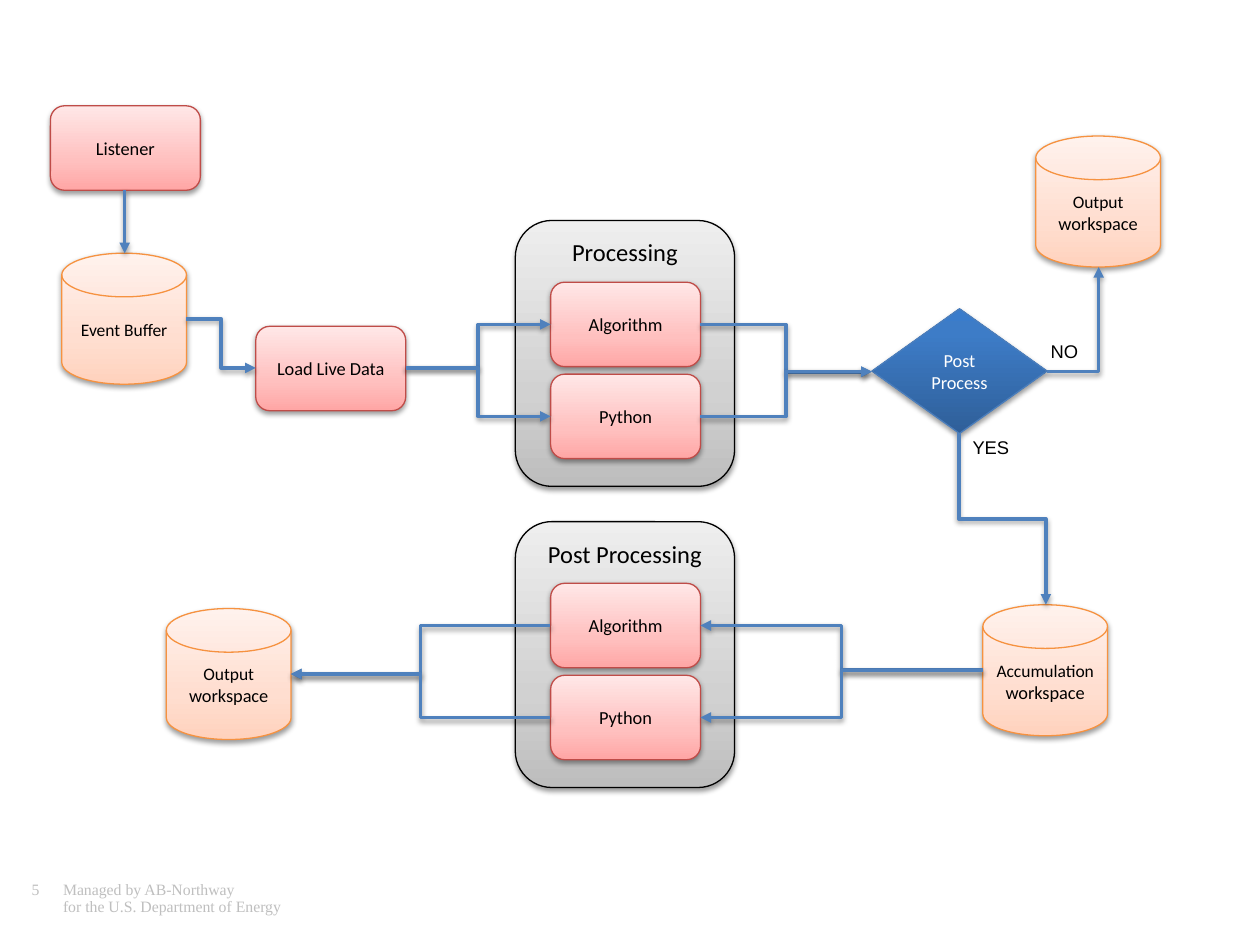
from copy import deepcopy

from lxml import etree
from pptx import Presentation
from pptx.dml.color import RGBColor
from pptx.enum.shapes import MSO_CONNECTOR, MSO_SHAPE
from pptx.enum.text import MSO_ANCHOR, PP_ALIGN
from pptx.oxml.ns import qn
from pptx.util import Inches, Pt

BOX, DISK = MSO_SHAPE.FLOWCHART_ALTERNATE_PROCESS, MSO_SHAPE.FLOWCHART_MAGNETIC_DISK
PANEL, CHOICE = MSO_SHAPE.ROUNDED_RECTANGLE, MSO_SHAPE.FLOWCHART_DECISION
STRAIGHT, ELBOW = MSO_CONNECTOR.STRAIGHT, MSO_CONNECTOR.ELBOW
LEFT, CENTER = PP_ALIGN.LEFT, PP_ALIGN.CENTER
TOP, MIDDLE = MSO_ANCHOR.TOP, MSO_ANCHOR.MIDDLE

BLACK = RGBColor(0x00, 0x00, 0x00)
WHITE = RGBColor(0xFF, 0xFF, 0xFF)
SILVER = RGBColor(0xBF, 0xBF, 0xBF)
BLUE = RGBColor(0x4F, 0x81, 0xBD)
NAVY = RGBColor(0x4B, 0x7E, 0xBC)
RED = RGBColor(0xBF, 0x4C, 0x48)
ORANGE = RGBColor(0xF6, 0x92, 0x40)
GRAYS = ((0, RGBColor(0xBD, 0xBD, 0xBD)), (0.35, RGBColor(0xD1, 0xD1, 0xD1)),
         (1, RGBColor(0xEE, 0xEE, 0xEE)))
PINKS = ((0, RGBColor(0xFF, 0xA6, 0xA5)), (0.35, RGBColor(0xFF, 0xC0, 0xBF)),
         (1, RGBColor(0xFF, 0xE7, 0xE7)))
PEACHES = ((0, RGBColor(0xFF, 0xD2, 0xBD)), (0.35, RGBColor(0xFF, 0xDE, 0xD0)),
           (1, RGBColor(0xFF, 0xF2, 0xED)))
BLUES = ((0, RGBColor(0x2F, 0x5F, 0x99)), (0.8, RGBColor(0x3D, 0x7C, 0xC7)),
         (1, RGBColor(0x3A, 0x7C, 0xCB)))

BOX_W, BOX_H = 1.19, 0.67
DISK_W, DISK_H = 0.99, 1.04
PANEL_X, PANEL_W, PANEL_H = 4.09, 1.74, 2.11
STEP_X = 4.37
STEP_END = STEP_X + BOX_W
STEPS = (("Algorithm", 0.49), ("Python", 1.22))


def write(frame, *parts, font="Calibri", color=BLACK, align=CENTER, anchor=MIDDLE,
          wrap=True):
    """Fill one paragraph with (text, size) parts."""
    frame.word_wrap = wrap
    frame.vertical_anchor = anchor
    para = frame.paragraphs[0]
    para.alignment = align
    for words, size in parts:
        run = para.add_run()
        run.text = words
        run.font.size = Pt(size)
        run.font.name = font
        run.font.color.rgb = color
    return para


def cast(effects):
    """Put a soft shadow below a shape or line."""
    shade = etree.SubElement(effects, qn("a:outerShdw"), blurRad=str(Pt(3.1)),
                             dist=str(Pt(1.6)), dir="5400000", rotWithShape="0")
    tint = etree.SubElement(shade, qn("a:srgbClr"), val=str(BLACK))
    etree.SubElement(tint, qn("a:alpha"), val="38000")


def blend(shape, stops):
    """Fill with a three-stop gradient that runs from bottom to top."""
    shape.fill.gradient()
    shape.fill.gradient_angle = 90
    row = next(shape.element.spPr.iter(qn("a:gsLst")))
    row.append(deepcopy(row[0]))
    for stop, (place, color) in zip(shape.fill.gradient_stops, stops):
        stop.position = place
        stop.color.rgb = color


def node(slide, kind, x, y, w, h, stops, edge, *parts, **style):
    shape = slide.shapes.add_shape(kind, Inches(x), Inches(y), Inches(w), Inches(h))
    blend(shape, stops)
    shape.line.color.rgb = edge
    shape.line.width = Pt(0.75)
    shape.shadow.inherit = False
    cast(shape.element.spPr.find(qn("a:effectLst")))
    write(shape.text_frame, *parts, **style)


def box(slide, x, y, words):
    node(slide, BOX, x, y, BOX_W, BOX_H, PINKS, RED, (words, 10.5))


def disk(slide, x, y, *parts):
    node(slide, DISK, x, y, DISK_W, DISK_H, PEACHES, ORANGE, *parts)


def panel(slide, y, title):
    """Draw a titled panel with its two steps."""
    node(slide, PANEL, PANEL_X, y, PANEL_W, PANEL_H, GRAYS, BLACK, (title, 14),
         anchor=TOP)
    for words, drop in STEPS:
        box(slide, STEP_X, y + drop, words)


def wire(slide, x1, y1, x2, y2, kind=ELBOW):
    link = slide.shapes.add_connector(kind, Inches(x1), Inches(y1),
                                      Inches(x2), Inches(y2))
    link.line.color.rgb = BLUE
    link.line.width = Pt(2)
    etree.SubElement(link.line._get_or_add_ln(), qn("a:tailEnd"), type="triangle")
    cast(etree.SubElement(link.element.spPr, qn("a:effectLst")))
    return link


def drop_wire(slide, x1, y1, x2, y2):
    """Draw an elbow that leaves and arrives vertically, by a quarter turn."""
    mid_x, mid_y = (x1 + x2) / 2, (y1 + y2) / 2
    half_w, half_h = (y2 - y1) / 2, (x2 - x1) / 2
    link = wire(slide, mid_x + half_w, mid_y - half_h, mid_x - half_w, mid_y + half_h)
    link.element.spPr.find(qn("a:xfrm")).set("rot", "16200000")


def corner_wire(slide, x1, y1, x2, y2):
    """Draw a wire with one bend, sideways first."""
    link = wire(slide, x1, y1, x2, y2)
    link.element.spPr.find(qn("a:prstGeom")).set("prst", "bentConnector2")


def label(slide, x, y, w, h, words, size, **style):
    area = slide.shapes.add_textbox(Inches(x), Inches(y), Inches(w), Inches(h))
    para = write(area.text_frame, (words, size), align=LEFT, anchor=TOP, **style)
    return area.text_frame, para


def footer(slide):
    style = {"font": "Times New Roman", "color": SILVER}
    frame, para = label(slide, 0.25, 7, 3.08, 0.33, "5\tManaged by AB-Northway", 9,
                        **style)
    frame.margin_left = frame.margin_right = frame.margin_top = frame.margin_bottom = 0
    para.add_line_break()
    write(frame, ("\tfor the U.S. Department of Energy", 9), align=LEFT, anchor=TOP,
          **style)
    para.line_spacing = 0.9
    tabs = etree.SubElement(para._p.get_or_add_pPr(), qn("a:tabLst"))
    etree.SubElement(tabs, qn("a:tab"), pos=str(Inches(0.25)), algn="l")


def main():
    deck = Presentation()
    deck.slide_width, deck.slide_height = Inches(10), Inches(7.5)
    slide = deck.slides.add_slide(deck.slide_layouts[6])
    footer(slide)

    panel(slide, 1.75, "Processing")
    panel(slide, 4.14, "Post Processing")
    box(slide, 0.4, 0.84, "Listener")
    box(slide, 2.03, 2.59, "Load Live Data")
    node(slide, CHOICE, 6.92, 2.45, 1.39, 0.99, BLUES, NAVY, ("Post Process", 10.5),
         color=WHITE)
    disk(slide, 0.49, 2.01, ("Event Buffer", 10))
    for x, y, words in ((8.22, 1.08, "Output "), (1.32, 4.83, "Output "),
                        (7.8, 4.8, "Accumulation ")):
        disk(slide, x, y, (words, 10), ("workspace", 10.5))

    wire(slide, 0.99, 1.51, 0.99, 2.01, STRAIGHT)
    wire(slide, 1.48, 2.53, 2.03, 2.92)
    for _, drop in STEPS:
        first, second = (y + drop + BOX_H / 2 for y in (1.75, 4.14))
        wire(slide, 3.22, 2.92, STEP_X, first)
        wire(slide, STEP_END, first, 6.92, 2.95)
        wire(slide, 7.8, 5.32, STEP_END, second)
        wire(slide, STEP_X, second, 2.31, 5.35)
    corner_wire(slide, 8.31, 2.95, 8.72, 2.12)
    drop_wire(slide, 7.61, 3.44, 8.3, 4.8)

    label(slide, 7.62, 3.41, 0.88, 0.28, "YES", 10.5, font="Arial", wrap=False)
    label(slide, 8.24, 2.65, 0.49, 0.28, "NO", 10.5, font="Arial", wrap=False)
    deck.save("out.pptx")


if __name__ == "__main__":
    main()
